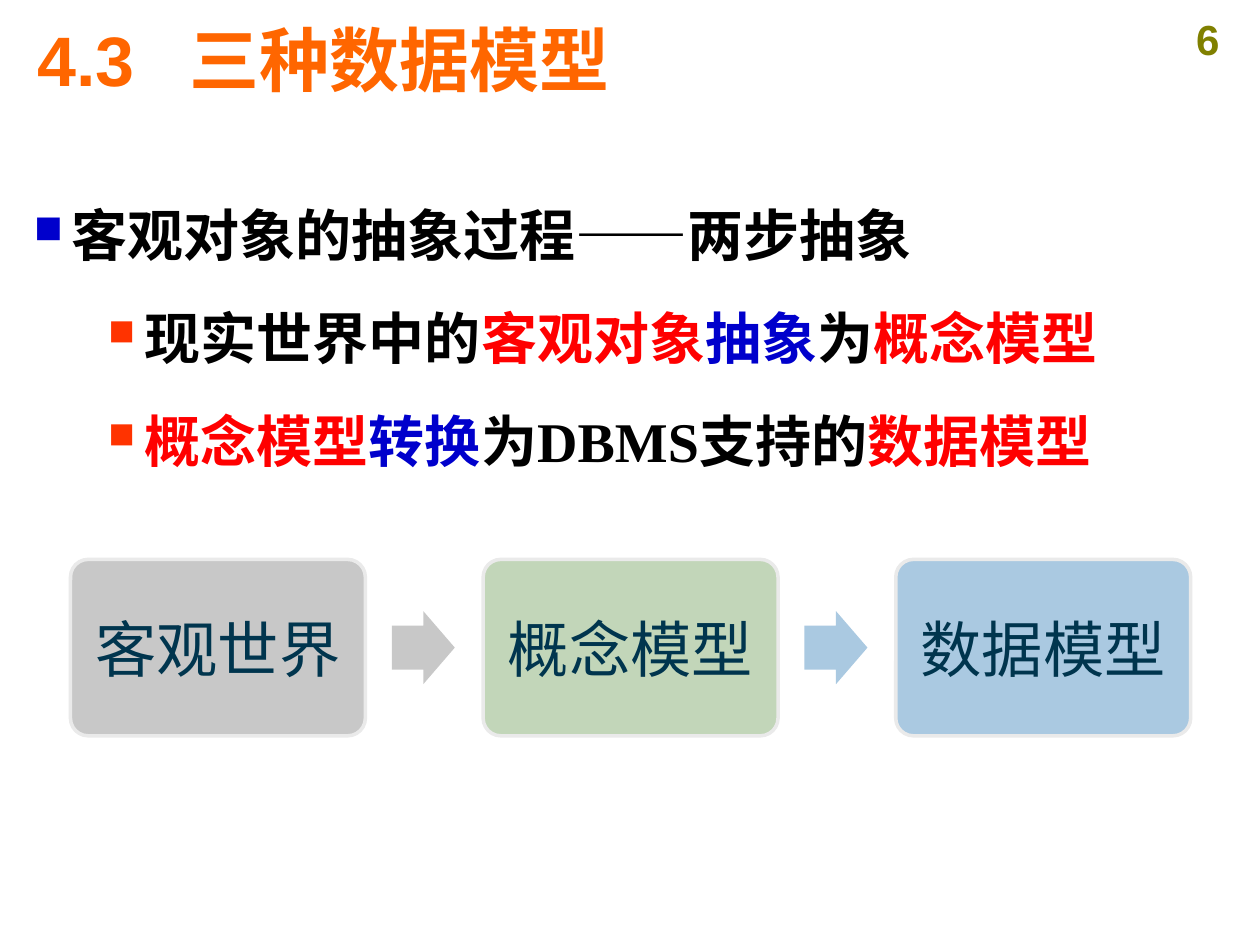
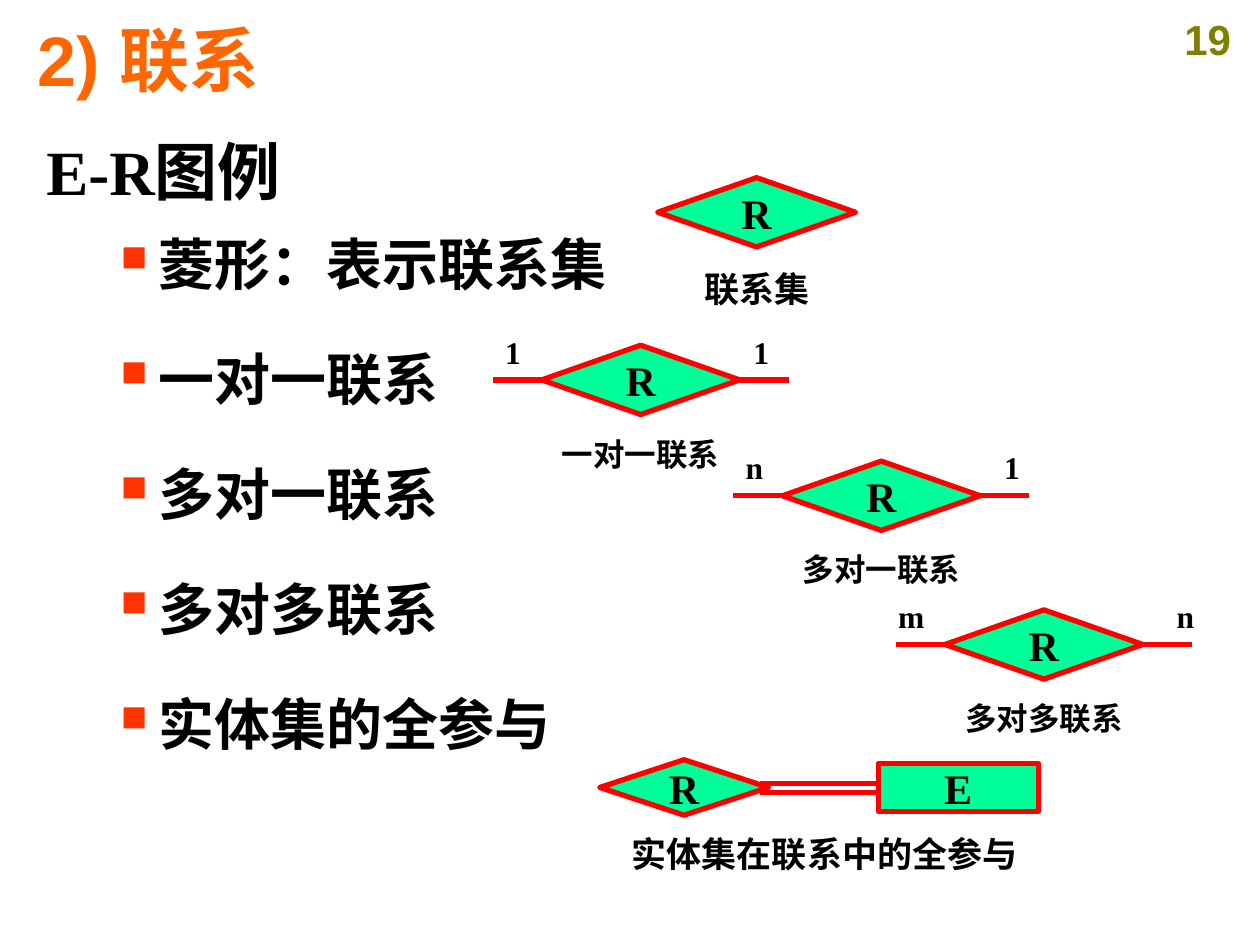
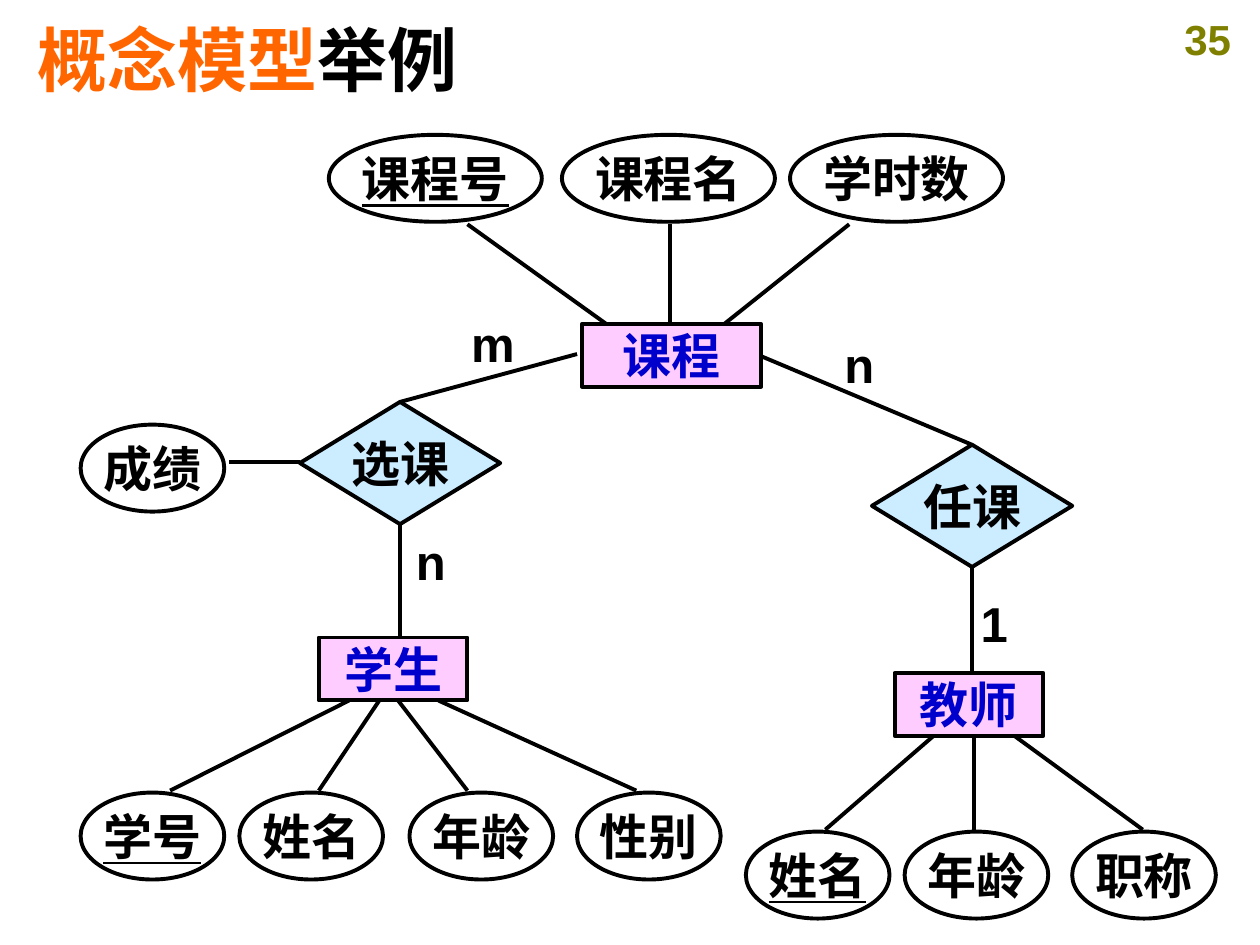
import pptx
import pptx.util
import pptx.dml.color
import pptx.enum.shapes
import pptx.enum.text
from lxml import etree

RGB = pptx.dml.color.RGBColor
SHAPE = pptx.enum.shapes.MSO_SHAPE
ALIGN = pptx.enum.text.PP_ALIGN
ANCHOR = pptx.enum.text.MSO_ANCHOR
Pt = pptx.util.Pt

BLACK, WHITE = RGB(0, 0, 0), RGB(255, 255, 255)
ORANGE, OLIVE = RGB(0xFF, 0x66, 0x00), RGB(0x80, 0x80, 0x00)
RED, BLUE, VERMILION = RGB(0xFF, 0, 0), RGB(0, 0, 0xCC), RGB(0xFF, 0x33, 0)
MINT, PINK, SKY = RGB(0, 0xFF, 0x99), RGB(0xFF, 0xCC, 0xFF), RGB(0xCC, 0xEC, 0xFF)
GREY, GREEN, STEEL = RGB(0xC8, 0xC8, 0xC8), RGB(0xC2, 0xD6, 0xB9), RGB(0xAA, 0xC9, 0xE1)
PALE, NAVY = RGB(0xEA, 0xEA, 0xEA), RGB(0, 0x35, 0x4E)
SANS, SERIF = "Arial", "Times New Roman"

# Grid of 100 columns by 75 rows
prs = pptx.Presentation()
prs.slide_width, prs.slide_height = pptx.util.Inches(10), pptx.util.Inches(7.5)
COL, ROW = prs.slide_width / 100, prs.slide_height / 75
INSET = (1, 0.5)


def place(x, y, w, h):
    return int(x * COL), int(y * ROW), int(w * COL), int(h * ROW)


def add_xml(parent, tag, **attrs):
    return etree.SubElement(parent, pptx.oxml.ns.qn(tag), attrs)


def set_font(p, size, color, font, bold=True, underline=None):
    f = p.font
    f.size, f.name, f.bold, f.underline = Pt(size), font, bold, underline
    f.color.rgb = color


def set_frame(sp, inset=INSET, anchor=ANCHOR.TOP, wrap=True):
    tf = sp.text_frame
    tf.word_wrap, tf.vertical_anchor = wrap, anchor
    tf.margin_left = tf.margin_right = int(inset[0] * COL)
    tf.margin_top = tf.margin_bottom = int(inset[1] * ROW)
    return tf


def add_runs(p, runs):
    """Runs are strings, or (string, colour) where the colour differs."""
    for run in runs:
        text, color = (run, None) if isinstance(run, str) else run
        r = p.add_run()
        r.text = text
        if color is not None:
            r.font.color.rgb = color


def add_label(s, box, text, size, color=BLACK, font=SERIF, align=ALIGN.CENTER, **frame):
    p = set_frame(s.shapes.add_textbox(*place(*box)), **frame).paragraphs[0]
    p.alignment = align
    set_font(p, size, color, font)
    add_runs(p, [text] if isinstance(text, str) else text)
    return p


def add_shape(s, kind, box, fill, line=None, width=2.25):
    sp = s.shapes.add_shape(kind, *place(*box))
    sp.shadow.inherit = False
    if fill is None:
        sp.fill.background()
    else:
        sp.fill.solid()
        sp.fill.fore_color.rgb = fill
    if line is None:
        sp.line.fill.background()
    else:
        sp.line.color.rgb, sp.line.width = line, Pt(width)
    return sp


def add_node(s, kind, box, text, fill, line, width, size, font, color=BLACK,
             underline=None, bold=True, inset=(0, 0), wrap=False):
    sp = add_shape(s, kind, box, fill, line, width)
    p = set_frame(sp, inset, ANCHOR.MIDDLE, wrap).paragraphs[0]
    p.alignment = ALIGN.CENTER
    set_font(p, size, color, font, bold, underline)
    add_runs(p, [text])
    return sp


def add_line(s, x1, y1, x2, y2, color=BLACK, width=2.25):
    ends = place(x1, y1, x2, y2)
    c = s.shapes.add_connector(pptx.enum.shapes.MSO_CONNECTOR.STRAIGHT, *ends)
    c.line.color.rgb, c.line.width = color, Pt(width)
    add_xml(c._element.spPr, "a:effectLst")


def new_slide(title, number):
    s = prs.slides.add_slide(prs.slide_layouts[6])
    add_label(s, (92.3, 0.6, 7.1, 5), str(number), 24, OLIVE, SANS)
    p = add_label(s, (2, 1.9, 94.7, 5.5), title, 40, ORANGE, SANS, ALIGN.LEFT,
                  anchor=ANCHOR.MIDDLE)
    tabs = add_xml(p._p.get_or_add_pPr(), "a:tabLst")
    add_xml(tabs, "a:tab", pos=str(int(12.1 * COL)), algn="l")
    p._p.pPr.insert(0, tabs)
    return s


def add_outline(s, box, items):
    """Items are (runs, size, line height, space before, bullet)."""
    tf = set_frame(s.shapes.add_textbox(*place(*box)))
    for i, (runs, size, height, before, bullet) in enumerate(items):
        p = tf.paragraphs[0] if i == 0 else tf.add_paragraph()
        p.line_spacing, p.space_before = Pt(height), Pt(before)
        if bullet:
            color, percent, left, hang = bullet
            pPr = p._p.get_or_add_pPr()
            pPr.set("marL", str(int(left * COL)))
            pPr.set("indent", str(int(-hang * COL)))
            add_xml(add_xml(pPr, "a:buClr"), "a:srgbClr", val=str(color))
            add_xml(pPr, "a:buSzPct", val=str(percent * 1000))
            add_xml(pPr, "a:buChar", char="■")
        set_font(p, size, BLACK, SERIF)
        add_runs(p, runs)


# Slide 1: three data models
def add_process(s, box, steps):
    x, y, w, h = box
    step_w = 23.4
    pitch = (w - step_w) / (len(steps) - 1)
    for i, (text, fill) in enumerate(steps):
        left = x + i * pitch
        sp = add_node(s, SHAPE.ROUNDED_RECTANGLE, (left, y, step_w, h), text, fill, PALE, 2,
                      35, SERIF, NAVY, bold=False, inset=(1.5, 1.5), wrap=True)
        sp.adjustments[0] = 0.1
        if i < len(steps) - 1:
            arrow = add_shape(s, SHAPE.RIGHT_ARROW,
                              (left + step_w + 2.1, y + h / 2 - 2.9, 5, 5.8),
                              STEEL if i else GREY)
            arrow.adjustments[0], arrow.adjustments[1] = 0.6, 0.5


def build_models():
    s = new_slide(["4.3\t三种数据模型"], 6)
    top, sub = (BLUE, 70, 3, 3), (VERMILION, 65, 8.8, 2.9)
    add_outline(s, (1.7, 15.4, 96.8, 25), [
        (["客观对象的抽象过程", "——", "两步抽象"], 32, 38.4, 0, top),
        (["现实世界中的", ("客观对象", RED), ("抽象", BLUE), "为", ("概念模型", RED)],
         32, 57.4, 1.6, sub),
        ([("概念模型", RED), ("转换", BLUE), "为DBMS支持的", ("数据模型", RED)],
         32, 57.4, 1.6, sub)])
    add_process(s, (5.6, 44.4, 88.9, 14),
                [("客观世界", GREY), ("概念模型", GREEN), ("数据模型", STEEL)])


# Slide 2: relationship symbols
def add_symbol(s, kind, box, text):
    add_node(s, kind, box, text, MINT, RED, 3, 24, SERIF)


def add_relation(s, x, y, caption, size=18, ends=()):
    """Ends are (text, offset from the left of the diamond)."""
    w, h, arm = 15.7, 5.5, 3.9
    add_symbol(s, SHAPE.DIAMOND, (x, y, w, h), "R")
    add_label(s, (x + 0.4, y + 6.6, w - 0.8, 4), caption, size)
    for text, offset in ends:
        start = x + w if offset > 0 else x - arm
        add_line(s, start, y + h / 2, start + arm, y + h / 2, RED, 3)
        add_label(s, (x + offset, y - 1.5, 3.1, 4), text, 18, align=ALIGN.LEFT)


def add_full_participation(s, x, y):
    add_symbol(s, SHAPE.DIAMOND, (x, y, 13.4, 4.4), "R")
    add_label(s, (x + 0.3, y + 5.3, 35.1, 4.3), "实体集在联系中的全参与", 20)
    add_symbol(s, SHAPE.RECTANGLE, (x + 22.1, y + 0.3, 12.7, 3.8), "E")
    for dy in (1.9, 2.6):
        add_line(s, x + 12.7, y + dy, x + 22.1, y + dy, RED, 3)


def build_relations():
    s = new_slide(["2) 联系"], 19)
    sub = (VERMILION, 65, 8.9, 3)
    names = ["菱形：表示联系集", "一对一联系", "多对一联系", "多对多联系", "实体集的全参与"]
    add_outline(s, (2.7, 9.9, 95.7, 63), [(["E-R图例"], 36, 44, 0, None)] + [
        ([name], 32, 38.4, 27.2 if i else 12.5, sub) for i, name in enumerate(names)])
    add_relation(s, 52.2, 14.1, "联系集", 20)
    add_relation(s, 43, 27.4, "一对一联系", ends=[("1", -3.9), ("1", 15.8)])
    add_relation(s, 62.1, 36.6, "多对一联系", ends=[("n", -3.9), ("1", 16.6)])
    add_relation(s, 75, 48.4, "多对多联系", ends=[("m", -4.7), ("n", 17.4)])
    add_full_participation(s, 47.6, 60.3)


# Slide 3: example of a conceptual model
def add_er_node(s, kind, box, text, fill=None, color=BLACK, underline=None):
    add_node(s, kind, box, text, fill, BLACK, 2.25, 28, SANS, color, underline)


def add_entity(s, box, name, attr_y, attr_w, attrs):
    """Attributes are (name, left, line start, line end); the first is the key."""
    x, y, w, h = box
    attr_h = 6.9
    above = attr_y < y
    for i, (attr, left, x1, x2) in enumerate(attrs):
        add_er_node(s, SHAPE.OVAL, (left, attr_y, attr_w, attr_h), attr, underline=i == 0 or None)
        y2 = attr_y + attr_h + 0.2 if above else attr_y - 0.15
        add_line(s, x1, y if above else y + h, x2, y2)
    add_er_node(s, SHAPE.RECTANGLE, box, name, PINK, BLUE)


def add_relationship(s, x, y, name, course_end, entity_top, cards):
    """Cards are (text, left, top) of the cardinalities."""
    w, h = 15.9, 9.7
    mid = x + w / 2
    add_line(s, course_end, 28.1, mid, y)
    add_line(s, mid, y + h, mid, entity_top)
    add_er_node(s, SHAPE.DIAMOND, (x, y, w, h), name, SKY)
    for text, left, top in cards:
        add_label(s, (left, top, 3, 4.7), text, 28, font=SANS, inset=(0, 0),
                  anchor=ANCHOR.MIDDLE, wrap=False)


def build_example():
    s = new_slide(["概念模型", ("举例", BLACK)], 35)
    add_relationship(s, 69.2, 35.3, "任课", 60, 53.4, [("1", 77.4, 47.1), ("n", 66.7, 26.5)])
    add_relationship(s, 23.8, 31.9, "选课", 45.8, 50.6, [("m", 37.4, 24.9), ("n", 32.7, 42.2)])
    add_er_node(s, SHAPE.OVAL, (6.4, 33.7, 11.4, 6.9), "成绩")
    add_line(s, 18.2, 36.7, 23.8, 36.7)
    add_entity(s, (46.2, 25.7, 14.2, 5), "课程", 10.7, 16.9, [
        ("课程号", 26.1, 48.1, 37.1), ("课程名", 44.6, 53.2, 53.2), ("学时数", 62.7, 57.5, 67.4)])
    add_entity(s, (71, 53.4, 11.8, 5), "教师", 66, 11.4, [
        ("姓名", 59.2, 74.1, 65.5), ("年龄", 71.8, 77.3, 77.3), ("职称", 85.1, 80.5, 90.7)])
    add_entity(s, (25.3, 50.6, 11.8, 5), "学生", 62.9, 11.4, [
        ("学号", 6.4, 27.7, 13.5), ("姓名", 19, 30.1, 25.3),
        ("年龄", 32.5, 31.6, 37.1), ("性别", 45.8, 34.8, 50.5)])


if __name__ == "__main__":
    build_models()
    build_relations()
    build_example()
    prs.save("out.pptx")
